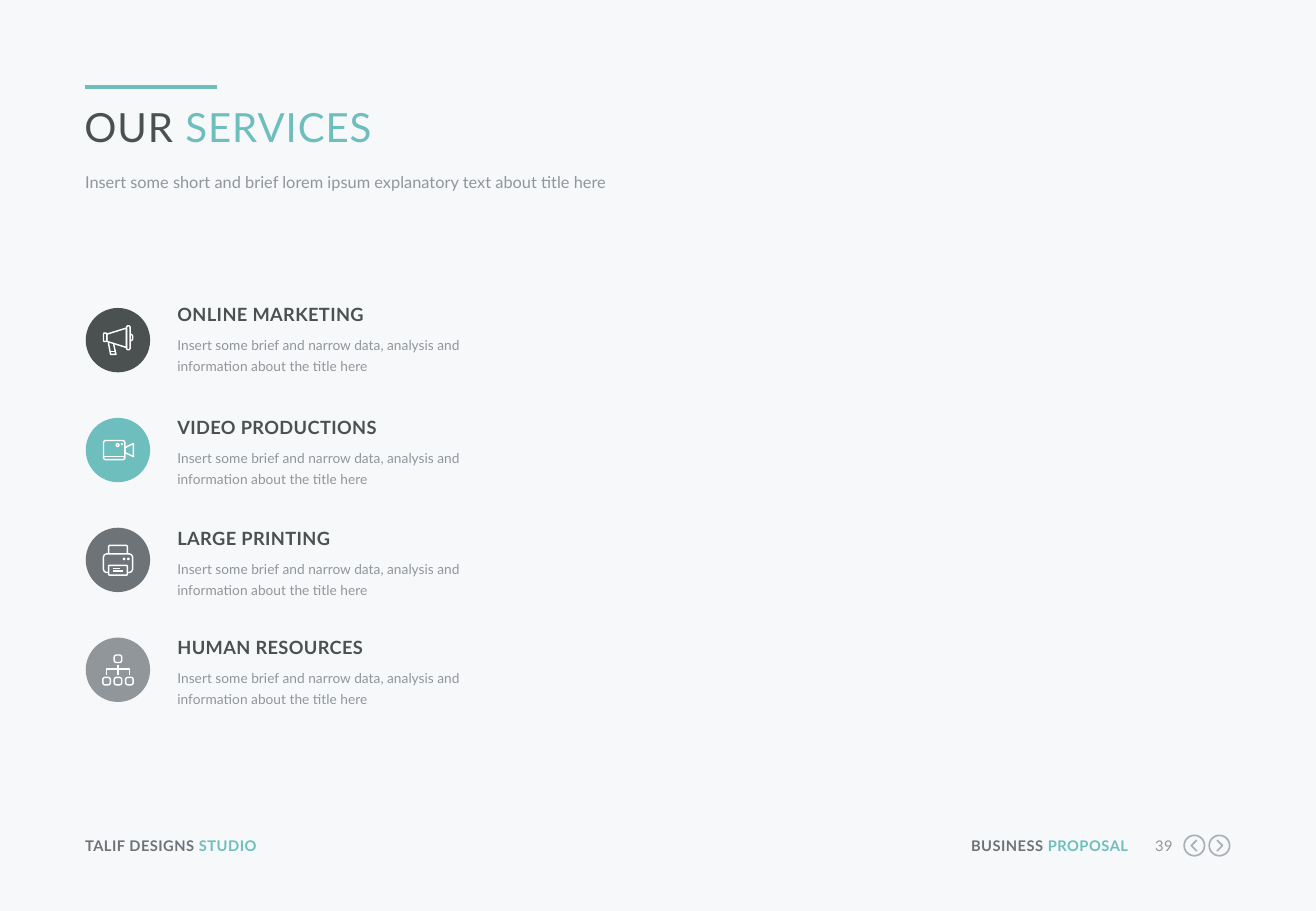
from math import cos, radians, sin

from lxml import etree
from pptx import Presentation
from pptx.dml.color import RGBColor
from pptx.enum.shapes import MSO_CONNECTOR, MSO_SHAPE
from pptx.enum.text import MSO_ANCHOR, MSO_AUTO_SIZE, PP_ALIGN
from pptx.oxml.ns import qn
from pptx.util import Inches, Pt

STRAIGHT = MSO_CONNECTOR.STRAIGHT
OVAL = MSO_SHAPE.OVAL
LEFT = PP_ALIGN.LEFT
RIGHT = PP_ALIGN.RIGHT
TOP = MSO_ANCHOR.TOP
NO_FIT = MSO_AUTO_SIZE.NONE

COLORS = {
    "background": "F6F8FA", "accent": "6EBEBE", "dark": "4B5050", "slate": "6E7378",
    "gray": "91969B", "control": "AAAFB4", "white": "FFFFFF",
}
FONT = "Lato"
COLUMNS, ROWS = 1083, 750
CELL = Inches(0.01)
DISC_LEFT, DISC_TOP, DISC_SIZE, DISC_PITCH = 70.6, 253.6, 53, 90.45
FOOTER_TOP = 689
DESCRIPTION = "Insert some brief and narrow data, analysis and information about the title here"


def rounded_box(left, top, width, height, radius=2):
    radius = min(radius, width / 2, height / 2)
    right, bottom = left + width - radius, top + height - radius
    left, top = left + radius, top + radius
    corners = [(right, bottom, 0), (left, bottom, 90), (left, top, 180), (right, top, 270)]
    points = [
        (x + radius * cos(radians(start + turn)), y + radius * sin(radians(start + turn)))
        for x, y, start in corners for turn in range(0, 91, 15)
    ]
    return points, True


def ring(x, y, radius):
    return rounded_box(x - radius, y - radius, 2 * radius, 2 * radius, radius)


def open_path(*points):
    return points, False


def closed_path(*points):
    return points, True


MEGAPHONE = [
    closed_path((-9, -5), (7, -10), (7, 6), (-9, 1)),
    rounded_box(-11.9, -5.9, 2.7, 7, 1),
    rounded_box(7.1, -11.9, 2.9, 19.8, 1.4),
    open_path((10, -5), (11.4, -4.6), (12.1, -3.5), (12.1, -1), (11.4, 0.2), (10, 0.6)),
    open_path((-7.9, 1.8), (-6, 11.7), (-1.6, 11.7), (-3.5, 3.3)),
    open_path((-6.3, 9.2), (-2.2, 9.2)),
]
CAMERA = [
    rounded_box(-11.9, -7.9, 17.6, 15.8),
    open_path((-11.9, 5.2), (5.7, 5.2)),
    closed_path((5.7, -2), (12.7, -5.4), (12.7, 5.4), (5.7, 2)),
    ring(-0.3, -4.1, 1.1),
    ring(3.3, -4.9, 0.2),
]
PRINTER = [
    open_path((-7.7, -5), (-7.7, -11.3), (-7, -12), (7, -12), (7.7, -11.3), (7.7, -5)),
    open_path((-7.7, 10.4), (-9.4, 10.4), (-11.2, 9.6), (-12, 7.8), (-12, -2.4),
              (-11.2, -4.2), (-9.4, -5), (9.4, -5), (11.2, -4.2), (12, -2.4),
              (12, 7.8), (11.2, 9.6), (9.4, 10.4), (7.7, 10.4)),
    rounded_box(-7.7, 4.5, 15.4, 8, 0.7),
    open_path((-4, 7.2), (2, 7.2)),
    open_path((-4, 9.3), (4.5, 9.3)),
    ring(5, -0.8, 0.5),
    ring(8.6, -0.8, 0.5),
]
HIERARCHY = [
    rounded_box(-3.1, -12.2, 6.2, 6.2),
    *[rounded_box(-3.1 + 9.4 * step, 6.2, 6.2, 6.2) for step in (-1, 0, 1)],
    open_path((0, -4.2), (0, 4.2)),
    open_path((-9.4, 4.2), (-9.4, -0.7), (9.4, -0.7), (9.4, 4.2)),
]
SERVICES = [
    ("ONLINE MARKETING", 250, "dark", MEGAPHONE),
    ("VIDEO PRODUCTIONS", 343, "accent", CAMERA),
    ("LARGE PRINTING", 434.2, "slate", PRINTER),
    ("HUMAN RESOURCES", 524, "gray", HIERARCHY),
]


def cells(count):
    return int(round(count * CELL))


def color(name):
    return RGBColor.from_string(COLORS[name])


def write_text(shape, parts, size, bold=False, spacing=0, align=LEFT, line_spacing=None):
    frame = shape.text_frame
    frame.word_wrap = True
    frame.auto_size = NO_FIT
    frame.vertical_anchor = TOP
    frame.margin_left = frame.margin_right = frame.margin_top = frame.margin_bottom = 0
    paragraph = frame.paragraphs[0]
    paragraph.alignment = align
    if line_spacing:
        paragraph.line_spacing = line_spacing
    for text, color_name in parts:
        run = paragraph.add_run()
        run.text = text
        run.font.name = FONT
        run.font.size = Pt(size)
        run.font.bold = bold
        run.font.color.rgb = color(color_name)
        if spacing:
            run.font._element.set("spc", str(round(spacing * 100)))


def add_text(slide, box, parts, size, **text_format):
    shape = slide.shapes.add_textbox(*map(cells, box))
    write_text(shape, parts, size, **text_format)


def fill_placeholder(shape, box, parts, size, **text_format):
    shape.left, shape.top, shape.width, shape.height = map(cells, box)
    write_text(shape, parts, size, **text_format)


def remove_bullet(paragraph):
    properties = paragraph._p.get_or_add_pPr()
    properties.set("marL", "0")
    properties.set("indent", "0")
    etree.SubElement(properties, qn("a:buNone"))
    paragraph.space_before = Pt(0)


def add_accent_line(slide, start, end):
    connector = slide.shapes.add_connector(STRAIGHT, *map(cells, (*start, *end)))
    connector.line.color.rgb = color("accent")
    connector.line.width = Pt(2.25)
    etree.SubElement(connector._element.spPr, qn("a:effectLst"))


def add_disc(slide, top, fill):
    disc = slide.shapes.add_shape(OVAL, *map(cells, (DISC_LEFT, top, DISC_SIZE, DISC_SIZE)))
    disc.shadow.inherit = False
    disc.fill.solid()
    disc.fill.fore_color.rgb = color(fill)
    disc.line.fill.background()


def add_drawing(slide, center_x, center_y, strokes, line, width=0.85):
    contours = [
        ([(cells(center_x + x), cells(center_y + y)) for x, y in points], closed)
        for points, closed in strokes
    ]
    builder = slide.shapes.build_freeform(*contours[0][0][0])
    for index, (points, closed) in enumerate(contours):
        if index:
            builder.move_to(*points[0])
        builder.add_line_segments(points[1:], close=closed)
    drawing = builder.convert_to_shape()
    drawing.shadow.inherit = False
    drawing.fill.background()
    drawing.line.color.rgb = color(line)
    drawing.line.width = Pt(width)


def add_service(slide, index, name, text_top, disc_color, strokes):
    add_text(slide, (146, text_top, 292, 18), [(name, "dark")], 10.8, bold=True, spacing=0.24)
    add_text(slide, (146, text_top + 23.4, 292, 36), [(DESCRIPTION, "gray")], 8.1, line_spacing=1.3)
    top = DISC_TOP + index * DISC_PITCH
    add_disc(slide, top, disc_color)
    add_drawing(slide, DISC_LEFT + DISC_SIZE / 2, top + DISC_SIZE / 2, strokes, "white")


def add_control(slide, center_x, direction):
    chevron = open_path((-2 * direction, -4.5), (2.5 * direction, 0), (-2 * direction, 4.5))
    add_drawing(slide, center_x, 696.1, [ring(0, 0, 8.4), chevron], "control", 1)


def add_footer(slide):
    label = {"bold": True, "spacing": 0.25}
    add_text(slide, (70, FOOTER_TOP, 211, 15),
             [("TALIF DESIGNS ", "slate"), ("STUDIO", "accent")], 8.7, **label)
    add_text(slide, (791.5, FOOTER_TOP, 137, 15),
             [("BUSINESS ", "slate"), ("PROPOSAL", "accent")], 8.7, align=RIGHT, **label)
    add_text(slide, (940, FOOTER_TOP, 25, 15), [("39", "gray")], 8.7, spacing=0.25, align=RIGHT)
    add_control(slide, 982.9, -1)
    add_control(slide, 1003.5, 1)


def main():
    presentation = Presentation()
    presentation.slide_width, presentation.slide_height = cells(COLUMNS), cells(ROWS)
    slide = presentation.slides.add_slide(presentation.slide_layouts[1])
    slide.background.fill.solid()
    slide.background.fill.fore_color.rgb = color("background")
    add_accent_line(slide, (70, 71.6), (179, 71.6))
    title, subtitle = slide.placeholders
    fill_placeholder(title, (69.4, 84, 942, 39),
                     [("OUR ", "dark"), ("SERVICES", "accent")], 23.8, spacing=0.6)
    remove_bullet(subtitle.text_frame.paragraphs[0])
    fill_placeholder(subtitle, (70, 140, 942, 21),
                     [("Insert some short and brief lorem ipsum explanatory text about title here", "gray")],
                     9.7, line_spacing=Pt(13))
    for index, service in enumerate(SERVICES):
        add_service(slide, index, *service)
    add_footer(slide)
    presentation.save("out.pptx")


if __name__ == "__main__":
    main()
